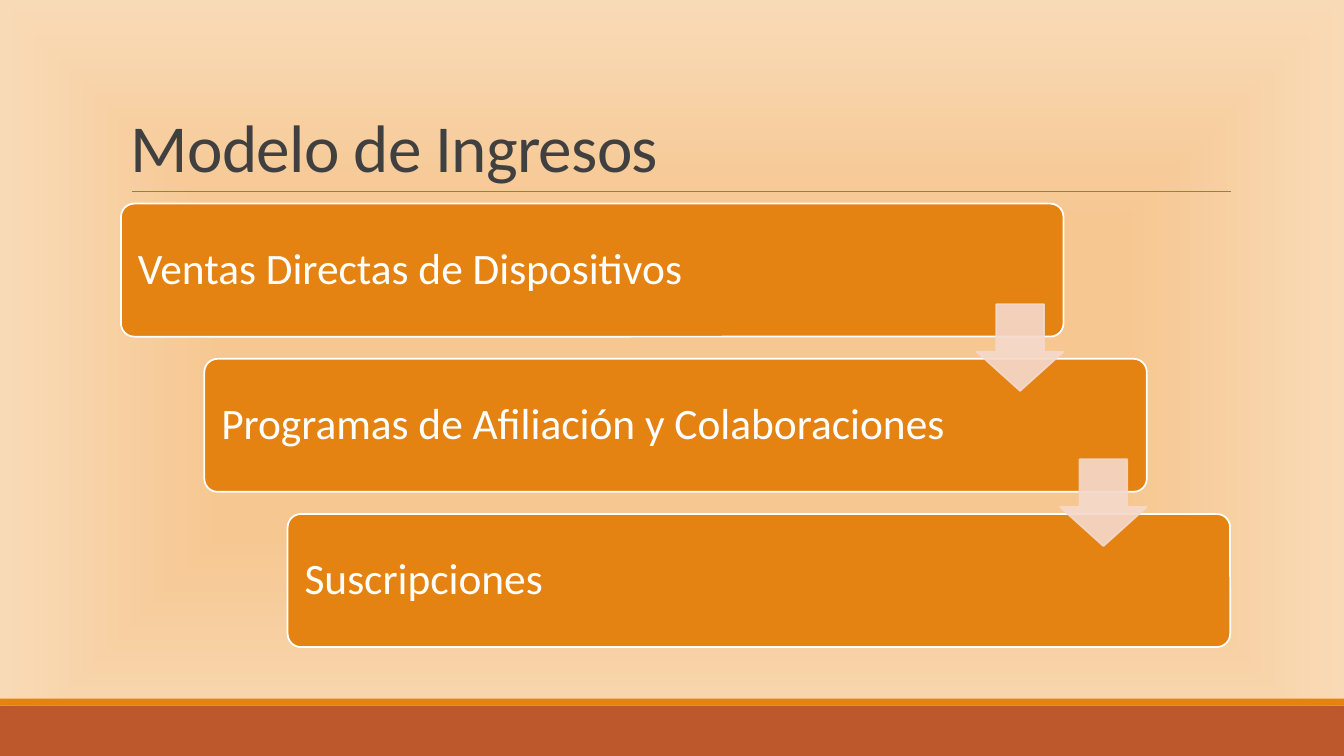
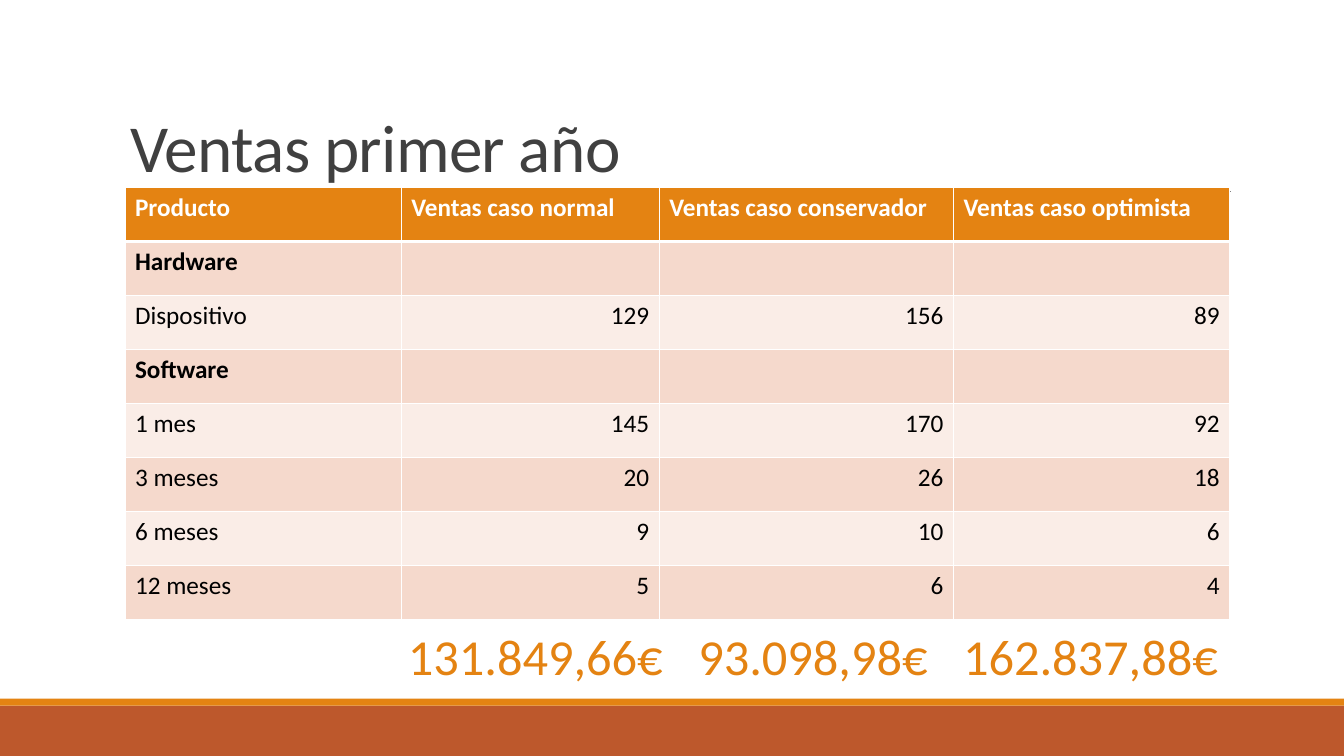
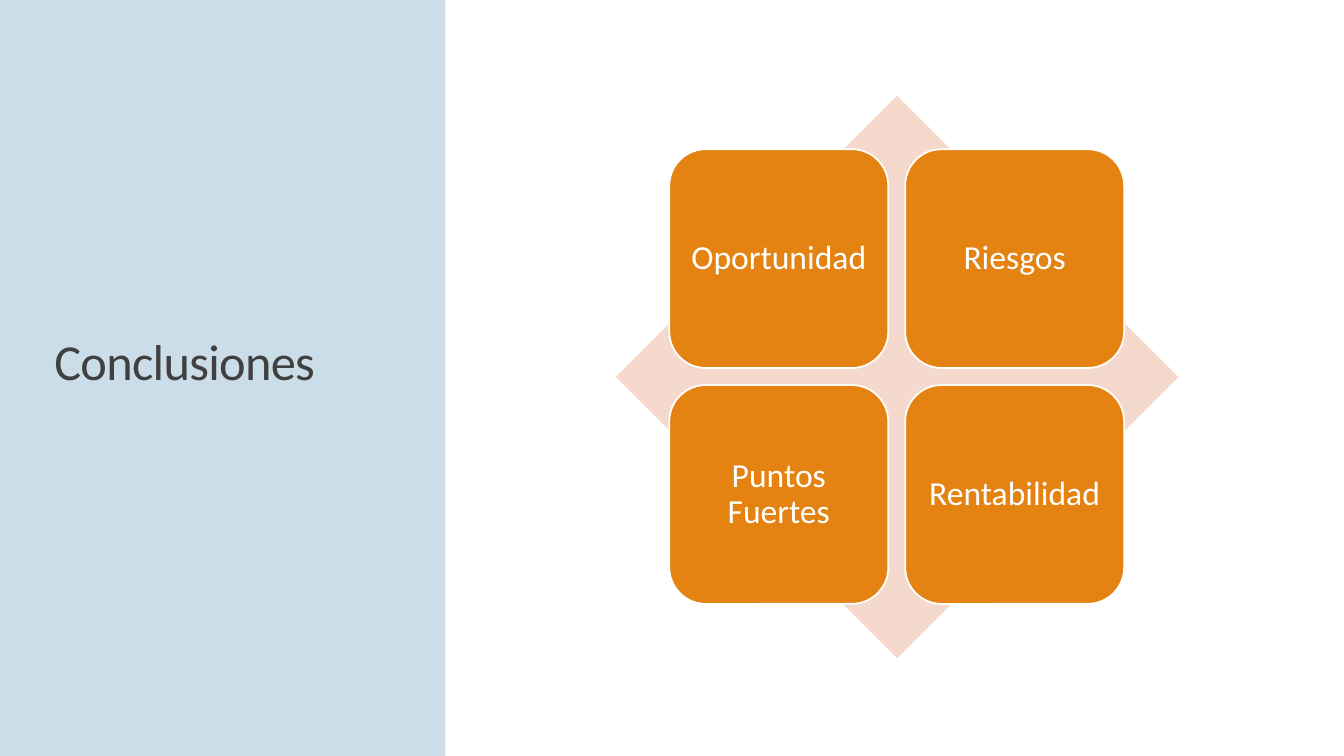
from dataclasses import dataclass, field
from typing import Any

from lxml import etree
from pptx import Presentation
from pptx.dml.color import RGBColor
from pptx.enum.shapes import MSO_CONNECTOR, MSO_SHAPE
from pptx.enum.text import MSO_ANCHOR, PP_ALIGN
from pptx.oxml.ns import qn
from pptx.util import Emu, Inches, Pt

RECT, ROUND = MSO_SHAPE.RECTANGLE, MSO_SHAPE.ROUNDED_RECTANGLE
DIAMOND, DOWN_ARROW = MSO_SHAPE.DIAMOND, MSO_SHAPE.DOWN_ARROW
STRAIGHT = MSO_CONNECTOR.STRAIGHT
TOP, MIDDLE, BOTTOM = MSO_ANCHOR.TOP, MSO_ANCHOR.MIDDLE, MSO_ANCHOR.BOTTOM
LEFT, CENTER, RIGHT = PP_ALIGN.LEFT, PP_ALIGN.CENTER, PP_ALIGN.RIGHT

FONT = "Calibri"
WHITE, BLACK, DARK, GREY = "FFFFFF", "000000", "404040", "808080"
ORANGE, RUST, BLUE = "E48312", "BD582C", "CCDDEA"
PINK, PALE_PINK = "F5D9CC", "FAEDE7"
GLOW, GLOW_EDGE = "F6C791", "F9DAB6"

SLIDE_W, SLIDE_H = Inches(40 / 3), Inches(7.5)


@dataclass(frozen=True)
class Box:
    """Left, top, width and height as percentages of the slide."""
    x: float
    y: float
    w: float
    h: float

    def emu(self) -> tuple[Emu, Emu, Emu, Emu]:
        return across(self.x), down(self.y), across(self.w), down(self.h)


@dataclass(frozen=True)
class Style:
    size: float
    color: str
    bold: bool = False
    anchor: Any = TOP
    inset: float | None = None
    spacing: int | None = None
    wrap: bool = True
    para: dict[str, Any] = field(default_factory=dict)


TITLE = Style(48, DARK, anchor=BOTTOM, spacing=-50,
              para={"alignment": LEFT, "line_spacing": 0.85})
SIDE_TITLE = Style(36, DARK, spacing=-50, para=TITLE.para)
STEP = Style(31, WHITE, anchor=MIDDLE, inset=0.13,
             para={"alignment": LEFT, "line_spacing": 0.9})
TILE = Style(24, WHITE, anchor=MIDDLE, inset=0.1,
             para={"alignment": CENTER, "line_spacing": 0.9})
TOTAL = Style(36, ORANGE, wrap=False, para={"alignment": CENTER})

TITLE_BOX = Box(9, 4.13, 82.5, 21.2)

STEPS = ["Ventas Directas de Dispositivos",
         "Programas de Afiliación y Colaboraciones",
         "Suscripciones"]
SALES = [
    ["Producto", "Ventas caso normal", "Ventas caso conservador",
     "Ventas caso optimista"],
    ["Hardware"],
    ["Dispositivo", "129", "156", "89"],
    ["Software"],
    ["1 mes", "145", "170", "92"],
    ["3 meses", "20", "26", "18"],
    ["6 meses", "9", "10", "6"],
    ["12 meses", "5", "6", "4"],
]
SALES_BOX = Box(9.3, 24.8, 82.2, 57.2)
SALES_COLS = [20.55, 19.2, 21.9, 20.55]
TOTALS = ["131.849,66€", "93.098,98€", "162.837,88€"]
TILES = ["Oportunidad", "Riesgos", "Puntos Fuertes", "Rentabilidad"]


def across(percent: float) -> Emu:
    return Emu(round(SLIDE_W * percent / 100))


def down(percent: float) -> Emu:
    return Emu(round(SLIDE_H * percent / 100))


def rgb(color: str) -> RGBColor:
    return RGBColor.from_string(color)


def write(tf, text: str, style: Style) -> None:
    p = tf.paragraphs[0]
    for name, value in style.para.items():
        setattr(p, name, value)
    r = p.add_run()
    r.text = text
    font = {"name": FONT, "size": Pt(style.size), "bold": style.bold}
    for name, value in font.items():
        setattr(r.font, name, value)
    r.font.color.rgb = rgb(style.color)


def fill_frame(sp, text: str, style: Style) -> None:
    tf = sp.text_frame
    tf.word_wrap = style.wrap
    tf.vertical_anchor = style.anchor
    if style.inset is not None:
        for side in ("left", "top", "right", "bottom"):
            setattr(tf, f"margin_{side}", Inches(style.inset))
    write(tf, text, style)
    if style.spacing is not None:
        for props in sp.element.iter(qn("a:rPr")):
            props.set("spc", str(style.spacing))


def add_text(s, box: Box, text: str, style: Style) -> None:
    fill_frame(s.shapes.add_textbox(*box.emu()), text, style)


def add_block(s, kind, box: Box, fill: str, line: str | None = None,
              adjust: tuple[float, ...] = (), alpha: int | None = None):
    """Draw a preset shape; alpha is the opacity in percent."""
    sp = s.shapes.add_shape(kind, *box.emu())
    sp.shadow.inherit = False
    sp.fill.solid()
    sp.fill.fore_color.rgb = rgb(fill)
    if line:
        sp.line.color.rgb = rgb(line)
        sp.line.width = Pt(1.25)
    else:
        sp.line.fill.background()
    for i, value in enumerate(adjust):
        sp.adjustments[i] = value
    if alpha is not None:
        for color in sp.element.iter(qn("a:srgbClr")):
            etree.SubElement(color, qn("a:alpha"), val=str(alpha * 1000))
    return sp


def add_chrome(s, title: str) -> None:
    """Add the footer bands, the title rule and the title."""
    add_block(s, RECT, Box(0, 93.33, 100, 6.67), RUST)
    add_block(s, RECT, Box(0, 92.4, 100, 0.93), ORANGE)
    rule = s.shapes.add_connector(STRAIGHT, across(9.83), down(25.33),
                                  across(91.57), down(25.33))
    rule.line.color.rgb = rgb(GREY)
    rule.line.width = Pt(0.5)
    etree.SubElement(rule.element.find(qn("p:spPr")), qn("a:effectLst"))
    add_text(s, TITLE_BOX, title, TITLE)


def set_glow(s) -> None:
    """Fill the background with a gradient that grows from the centre."""
    fill = s.background.fill
    fill.gradient()
    stops = [(0.41, GLOW), (1, GLOW_EDGE)]
    for stop, (position, color) in zip(fill.gradient_stops, stops):
        stop.position = position
        stop.color.rgb = rgb(color)
    grad = next(s.element.iter(qn("a:gradFill")))
    for lin in grad.findall(qn("a:lin")):
        grad.remove(lin)
    shade = etree.SubElement(grad, qn("a:path"), {"path": "shape"})
    etree.SubElement(shade, qn("a:fillToRect"),
                     {side: "50000" for side in "ltrb"})


def add_borders(frame) -> None:
    """Draw white cell borders, thicker under the header row."""
    for row, tr in enumerate(frame.element.iter(qn("a:tr"))):
        for props in tr.iter(qn("a:tcPr")):
            for i, side in enumerate("LRTB"):
                thick = (row, side) in ((0, "B"), (1, "T"))
                ln = etree.Element(qn(f"a:ln{side}"),
                                   w=str(Pt(3 if thick else 1)))
                solid = etree.SubElement(ln, qn("a:solidFill"))
                etree.SubElement(solid, qn("a:srgbClr"), val=WHITE)
                props.insert(i, ln)


def add_sales_table(s) -> None:
    frame = s.shapes.add_table(len(SALES), len(SALES_COLS), *SALES_BOX.emu())
    table = frame.table
    table.first_row = table.horz_banding = False
    for col, width in zip(table.columns, SALES_COLS):
        col.width = across(width)
    for i, values in enumerate(SALES):
        table.rows[i].height = down(SALES_BOX.h / len(SALES))
        header = i == 0
        bold = header or len(values) == 1
        band = ORANGE if header else PINK if i % 2 else PALE_PINK
        for j in range(len(SALES_COLS)):
            cell = table.cell(i, j)
            cell.fill.solid()
            cell.fill.fore_color.rgb = rgb(band)
            if j < len(values):
                align = RIGHT if j and not header else LEFT
                write(cell.text_frame, values[j],
                      Style(18, WHITE if header else BLACK, bold,
                            para={"alignment": align}))
    add_borders(frame)


def build_income(s) -> None:
    set_glow(s)
    add_chrome(s, "Modelo de Ingresos")
    boxes = [Box(9 + 6.2 * i, 26.93 + 20.53 * i, 70.13, 17.6)
             for i in range(len(STEPS))]
    for box, text in zip(boxes, STEPS):
        fill_frame(add_block(s, ROUND, box, ORANGE, WHITE, (0.1,)),
                   text, STEP)
    arrow_w, arrow_h = 6.45, 11.47
    for box in boxes[:-1]:
        arrow = Box(box.x + box.w - arrow_w, box.y + 13.3, arrow_w, arrow_h)
        add_block(s, DOWN_ARROW, arrow, PINK, PINK, (0.55, 0.45), alpha=90)


def build_sales(s) -> None:
    add_chrome(s, "Ventas primer año")
    add_sales_table(s)
    for i, total in enumerate(TOTALS):
        add_text(s, Box(29.5 + 20.65 * i, 82, 20.7, 9.47), total, TOTAL)


def build_conclusions(s) -> None:
    add_block(s, RECT, Box(0, 0, 33.15, 100), BLUE)
    add_text(s, Box(3.3, 44.27, 26.6, 11.2), "Conclusiones", SIDE_TITLE)
    add_block(s, DIAMOND, Box(45.83, 12.67, 41.85, 74.4), PINK)
    for i, text in enumerate(TILES):
        row, col = divmod(i, 2)
        box = Box(49.8 + 17.55 * col, 19.73 + 31.2 * row, 16.3, 28.95)
        fill_frame(add_block(s, ROUND, box, ORANGE, WHITE), text, TILE)


def main() -> None:
    prs = Presentation()
    prs.slide_width, prs.slide_height = SLIDE_W, SLIDE_H
    blank = prs.slide_layouts[6]
    for build in (build_income, build_sales, build_conclusions):
        build(prs.slides.add_slide(blank))
    prs.save("out.pptx")


if __name__ == "__main__":
    main()
